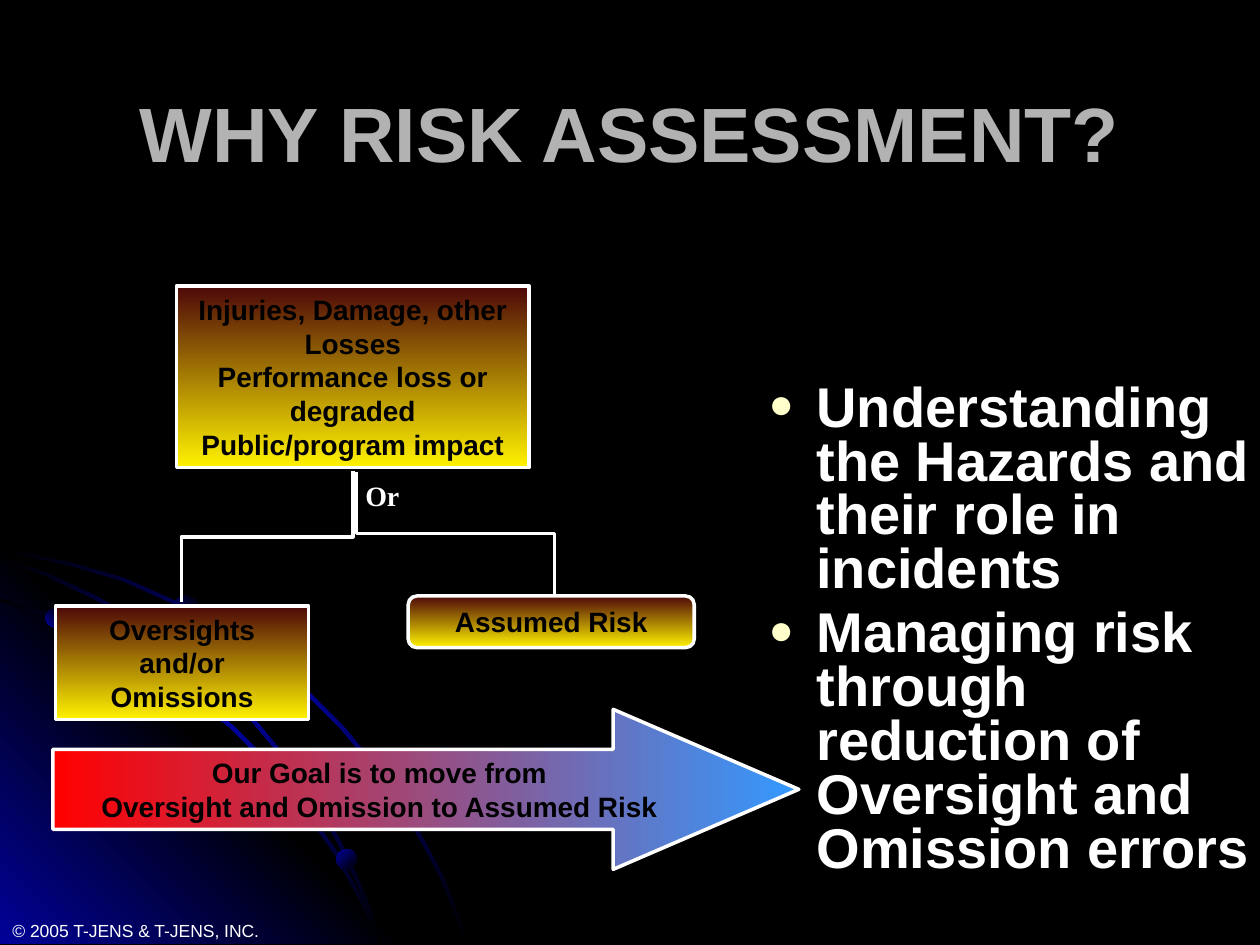
from lxml import etree
from pptx import Presentation
from pptx.dml.color import RGBColor
from pptx.enum.shapes import MSO_CONNECTOR, MSO_SHAPE
from pptx.enum.text import MSO_ANCHOR, MSO_AUTO_SIZE, PP_ALIGN
from pptx.oxml.ns import qn
from pptx.util import Inches, Pt

ELBOW = MSO_CONNECTOR.ELBOW
OVAL = MSO_SHAPE.OVAL
PROCESS = MSO_SHAPE.FLOWCHART_PROCESS
ROUNDED_PROCESS = MSO_SHAPE.FLOWCHART_ALTERNATE_PROCESS
RIGHT_ARROW = MSO_SHAPE.RIGHT_ARROW
TOP, MIDDLE = MSO_ANCHOR.TOP, MSO_ANCHOR.MIDDLE
LEFT, CENTER = PP_ALIGN.LEFT, PP_ALIGN.CENTER

BLACK, WHITE, NAVY = "000000", "FFFFFF", "010199"
RIBBON_COLORS = [BLACK, NAVY, BLACK]
BOX_COLORS = ["4D0808", "FFF200"]
RIBBON_WIDTH = 0.02

# Lower edge of each curved ribbon, from the left side to the bottom
RIBBONS = [
    [(0, 4.38), (0.28, 4.43), (0.56, 4.49), (0.97, 4.61), (1.35, 4.78),
     (1.73, 4.99), (2.08, 5.23), (2.41, 5.49), (2.71, 5.79), (2.98, 6.12),
     (3.23, 6.49), (3.37, 6.73), (3.5, 6.98), (3.6, 7.23), (3.7, 7.49)],
    [(0, 4.77), (0.39, 4.9), (0.77, 5.07), (1.15, 5.28), (1.5, 5.51),
     (1.83, 5.78), (2.13, 6.08), (2.4, 6.42), (2.65, 6.77), (2.85, 7.14),
     (2.94, 7.32), (3.01, 7.49)],
    [(0, 4.44), (0.36, 4.57), (0.74, 4.75), (1.09, 4.94), (1.42, 5.18),
     (1.73, 5.44), (2.02, 5.75), (2.27, 6.05), (2.52, 6.41), (2.67, 6.67),
     (2.8, 6.94), (2.92, 7.22), (3.01, 7.49)],
]
GLOW = [(0, 4.27), (3.22, 7.49), (0, 7.49)]
DOTS = [(0.36, 4.83, 0.15, 315), (2.67, 6.74, 0.16, 45), (1.37, 4.73, 0.21, 315)]


def color(value):
    return RGBColor.from_string(value)


def fill_gradient(shape, colors, angle):
    """Spread the colours evenly along a clockwise angle in degrees."""
    shape.shadow.inherit = False
    shape.fill.gradient()
    shape.fill.gradient_angle = -angle % 360
    stops = next(shape._element.iter(qn("a:gsLst")))
    for stop in list(stops):
        stops.remove(stop)
    for index, value in enumerate(colors):
        position = 100000 * index // (len(colors) - 1)
        stop = etree.SubElement(stops, qn("a:gs"), pos=str(position))
        etree.SubElement(stop, qn("a:srgbClr"), val=value)


def add_outline(page, points, colors, angle):
    corners = [(Inches(x), Inches(y)) for x, y in points]
    builder = page.shapes.build_freeform(*corners[0])
    builder.add_line_segments(corners[1:])
    shape = builder.convert_to_shape()
    fill_gradient(shape, colors, angle)
    shape.line.fill.background()


def add_ribbon(page, lower):
    upper = [(x + RIBBON_WIDTH, y - RIBBON_WIDTH) for x, y in lower]
    upper[0] = (0, upper[0][1])
    upper[-1] = (upper[-1][0], lower[-1][1])
    add_outline(page, lower + upper[::-1], RIBBON_COLORS, 45)


def add_dot(page, left, top, size, angle):
    dot = page.shapes.add_shape(
        OVAL, Inches(left), Inches(top), Inches(size), Inches(size))
    fill_gradient(dot, [NAVY, BLACK], angle)
    dot.line.fill.background()


def write_lines(frame, lines, size, value, bold=True, name="Arial",
                align=CENTER, anchor=MIDDLE):
    frame.auto_size = MSO_AUTO_SIZE.NONE
    frame.vertical_anchor = anchor
    frame.text = "\n".join(lines)
    for para in frame.paragraphs:
        para.alignment = align
        para.font.name = name
        para.font.size = Pt(size)
        para.font.bold = bold
        para.font.color.rgb = color(value)


def add_box(page, kind, place, lines, colors=BOX_COLORS, angle=90):
    box = page.shapes.add_shape(kind, *map(Inches, place))
    fill_gradient(box, colors, angle)
    box.line.color.rgb = color(WHITE)
    box.line.width = Pt(2)
    write_lines(box.text_frame, lines, 16, BLACK)
    return box


def add_label(page, place, text, size, wrap=True, **style):
    label = page.shapes.add_textbox(*map(Inches, place))
    label.text_frame.word_wrap = wrap
    write_lines(label.text_frame, [text], size, WHITE, **style)


def add_branch(page, start, end):
    """Draw an elbow that runs down, sideways and down again."""
    (x1, y1), (x2, y2) = start, end
    width, height = y2 - y1, abs(x2 - x1)
    left, top = (x1 + x2 - width) / 2, (y1 + y2 - height) / 2
    right = left + width
    to_right = x2 > x1
    begin_x, end_x = (right, left) if to_right else (left, right)
    branch = page.shapes.add_connector(
        ELBOW, Inches(begin_x), Inches(top), Inches(end_x), Inches(top + height))
    properties = branch._element.spPr
    properties.find(qn("a:xfrm")).set("rot", str((270 if to_right else 90) * 60000))
    branch.line.color.rgb = color(WHITE)
    branch.line.width = Pt(2)
    etree.SubElement(properties, qn("a:effectLst"))


def move(shape, place):
    shape.left, shape.top, shape.width, shape.height = map(Inches, place)


def add_bullet(para):
    properties = para._p.get_or_add_pPr()
    properties.set("marL", str(Inches(0.38)))
    properties.set("indent", str(Inches(-0.38)))
    bullet_color = etree.SubElement(properties, qn("a:buClr"))
    etree.SubElement(bullet_color, qn("a:srgbClr"), val="FFFFCC")
    etree.SubElement(properties, qn("a:buSzPct"), val="75000")
    etree.SubElement(properties, qn("a:buFont"), typeface="Arial")
    etree.SubElement(properties, qn("a:buChar"), char="●")


def fill_body(body, items):
    move(body, (6, 3, 4.17, 4.42))
    frame = body.text_frame
    frame.text = "\n".join(items)
    for index, para in enumerate(frame.paragraphs):
        para.line_spacing = 0.8
        para.space_before = Pt(6 if index else 0)
        add_bullet(para)
    write_lines_style = dict(align=LEFT, anchor=TOP)
    frame.auto_size = MSO_AUTO_SIZE.NONE
    frame.vertical_anchor = write_lines_style["anchor"]
    for para in frame.paragraphs:
        para.alignment = write_lines_style["align"]
        para.font.name = "Arial"
        para.font.size = Pt(32)
        para.font.bold = True
        para.font.color.rgb = color(WHITE)


def main():
    deck = Presentation()
    deck.slide_width, deck.slide_height = Inches(10), Inches(7.5)
    page = deck.slides.add_slide(deck.slide_layouts[1])
    page.background.fill.solid()
    page.background.fill.fore_color.rgb = color(BLACK)

    add_ribbon(page, RIBBONS[0])
    add_outline(page, GLOW, [NAVY, BLACK, NAVY], 315)
    for lower in RIBBONS[1:]:
        add_ribbon(page, lower)
    for dot in DOTS:
        add_dot(page, *dot)
    add_label(page, (0, 7.25, 2.33, 0.17), "© 2005 T-JENS & T-JENS, INC.", 10,
              bold=False, align=LEFT, anchor=TOP)

    title = page.shapes.title
    move(title, (0.75, 0.42, 8.5, 1.25))
    write_lines(title.text_frame, ["WHY RISK ASSESSMENT?"], 44, "B2B2B2")
    fill_body(page.placeholders[1], [
        "Understanding the Hazards and their role in incidents",
        "Managing risk through reduction of Oversight and Omission errors"])

    add_box(page, PROCESS, (1.4, 2.27, 2.8, 1.44), [
        "Injuries, Damage, other Losses", "Performance loss or degraded",
        "Public/program impact"])
    add_box(page, PROCESS, (0.44, 4.81, 2.01, 0.9),
            ["Oversights", "and/or", "Omissions"])
    add_box(page, ROUNDED_PROCESS, (3.24, 4.73, 2.27, 0.41), ["Assumed Risk"])
    add_branch(page, (2.8, 3.74), (1.44, 4.78))
    add_branch(page, (2.83, 3.75), (4.4, 4.72))
    add_label(page, (2.8, 3.75, 0.47, 0.37), "Or", 16, wrap=False,
              name="Times New Roman")
    arrow = add_box(page, RIGHT_ARROW, (0.42, 5.63, 5.92, 1.27), [
        "Our Goal is to move from", "Oversight and Omission to Assumed Risk"],
        ["FF0000", "3399FF"], 0)
    arrow.adjustments[1] = 1.16
    deck.save("out.pptx")


if __name__ == "__main__":
    main()
